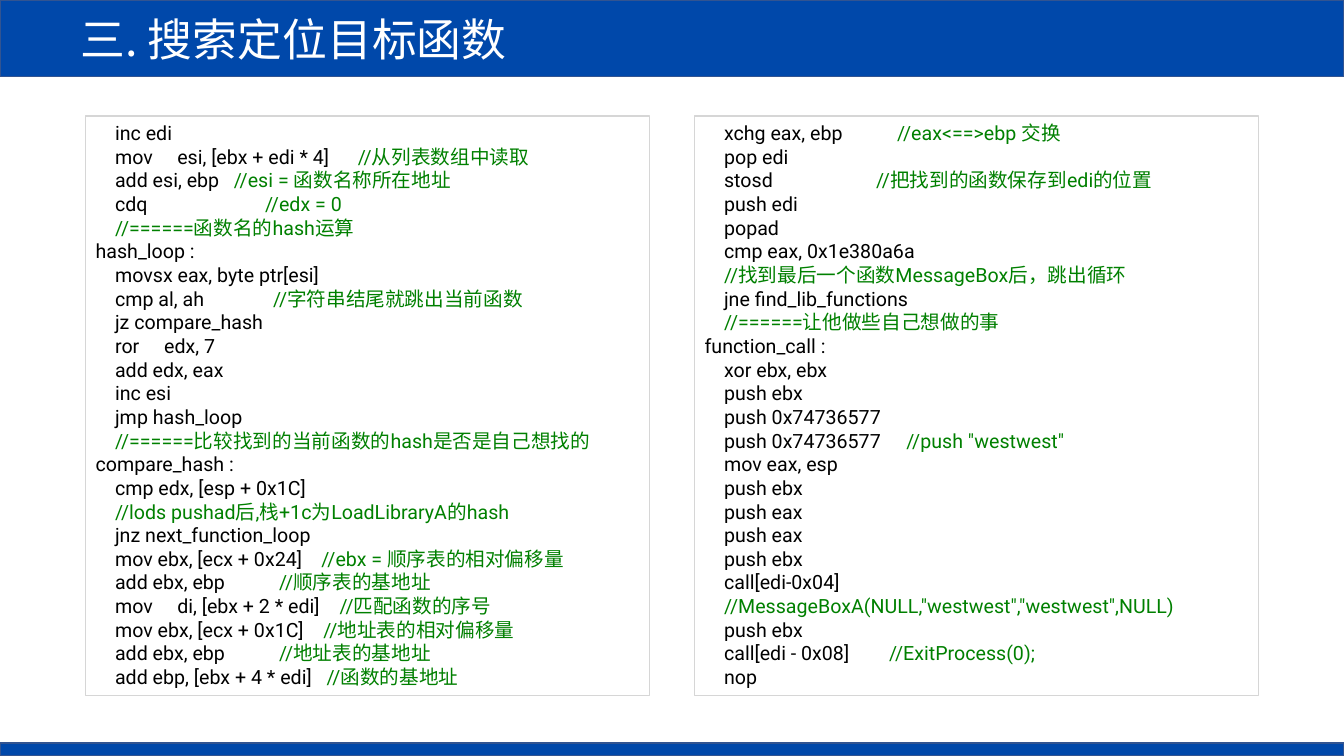
from lxml import etree
from pptx import Presentation
from pptx import util as u
from pptx.dml.color import RGBColor
from pptx.enum import shapes, text
from pptx.oxml.ns import qn

COLORS = {"bar": "0048AA", "bar_edge": "325491", "frame": "D6D6D6",
          "title": "FFFFFF", "code": "000000", "comment": "008000"}
TITLE_FONT, CODE_FONT = "Noto Sans CJK SC", "Roboto"
WIDTH, HEIGHT = 13.33, 7.5

# Each line of code, followed by its tab stops in inches
HASH_CODE = [
    ("    inc edi",),
    ("    mov\tesi, [ebx + edi * 4]\t//从列表数组中读取", 0.81, 2.6),
    ("    add esi, ebp\t//esi = 函数名称所在地址", 1.37),
    ("    cdq\t//edx = 0", 1.68),
    ("    //======函数名的hash运算",),
    ("hash_loop :",),
    ("    movsx eax, byte ptr[esi]",),
    ("    cmp al, ah\t//字符串结尾就跳出当前函数", 1.76),
    ("    jz compare_hash",),
    ("    ror\tedx, 7", 0.68),
    ("    add edx, eax",),
    ("    inc esi",),
    ("    jmp hash_loop",),
    ("    //======比较找到的当前函数的hash是否是自己想找的",),
    ("compare_hash :",),
    ("    cmp edx, [esp + 0x1C]",),
    ("    //lods pushad后,栈+1c为LoadLibraryA的hash",),
    ("    jnz next_function_loop",),
    ("    mov ebx, [ecx + 0x24]\t//ebx = 顺序表的相对偏移量", 2.24),
    ("    add ebx, ebp\t//顺序表的基地址", 1.82),
    ("    mov\tdi, [ebx + 2 * edi]\t//匹配函数的序号", 0.81, 2.42),
    ("    mov ebx, [ecx + 0x1C]\t//地址表的相对偏移量", 2.26),
    ("    add ebx, ebp\t//地址表的基地址", 1.82),
    ("    add ebp, [ebx + 4 * edi]\t//函数的基地址", 2.29),
]
CALL_CODE = [
    ("    xchg eax, ebp\t//eax<==>ebp 交换", 1.91),
    ("    pop edi",),
    ("    stosd\t//把找到的函数保存到edi的位置", 1.7),
    ("    push edi",),
    ("    popad",),
    ("    cmp eax, 0x1e380a6a",),
    ("    //找到最后一个函数MessageBox后，跳出循环",),
    ("    jne find_lib_functions",),
    ("    //======让他做些自己想做的事",),
    ("function_call :",),
    ("    xor ebx, ebx",),
    ("    push ebx",),
    ("    push 0x74736577",),
    ("    push 0x74736577\t//push \"westwest\"", 2),
    ("    mov eax, esp",),
    ("    push ebx",),
    ("    push eax",),
    ("    push eax",),
    ("    push ebx",),
    ("    call[edi-0x04]",),
    ("    //MessageBoxA(NULL,\"westwest\",\"westwest\",NULL)",),
    ("    push ebx",),
    ("    call[edi - 0x08]\t//ExitProcess(0);", 1.83),
    ("    nop",),
]


def color(name):
    return RGBColor.from_string(COLORS[name])


def place(shape, box):
    shape.left, shape.top, shape.width, shape.height = map(u.Inches, box)


def paint(shape, fill, line):
    if fill:
        shape.fill.solid()
        shape.fill.fore_color.rgb = color(fill)
    else:
        shape.fill.background()
    shape.line.color.rgb = color(line)
    shape.line.width = u.Pt(1)


def format_run(run, font_name, size, color_name):
    run.font.name = font_name
    run.font.size = u.Pt(size)
    run.font.color.rgb = color(color_name)
    east_asian = etree.SubElement(run.font._element, qn("a:ea"))
    east_asian.set("typeface", font_name)


def add_rectangle(slide, box, fill, line):
    shape = slide.shapes.add_shape(shapes.MSO_SHAPE.RECTANGLE, *map(u.Inches, box))
    shape.shadow.inherit = False
    paint(shape, fill, line)
    return shape


def add_title_bar(slide, box, words):
    title = slide.shapes.title
    place(title, box)
    paint(title, "bar", "bar_edge")
    frame = title.text_frame
    frame.text = words
    frame.auto_size = text.MSO_AUTO_SIZE.NONE
    frame.vertical_anchor = text.MSO_ANCHOR.MIDDLE
    frame.margin_left = u.Inches(WIDTH * 0.06)
    paragraph = frame.paragraphs[0]
    paragraph.alignment = text.PP_ALIGN.LEFT
    format_run(paragraph.runs[0], TITLE_FONT, 32, "title")


def add_tab_stops(paragraph, stops):
    tab_list = etree.SubElement(paragraph._p.get_or_add_pPr(), qn("a:tabLst"))
    for stop in stops:
        etree.SubElement(tab_list, qn("a:tab"), pos=str(u.Inches(stop)), algn="l")


def add_code_panel(slide, box, lines):
    frame = add_rectangle(slide, box, None, "frame").text_frame
    frame.word_wrap = True
    frame.vertical_anchor = text.MSO_ANCHOR.TOP
    for index, (line, *stops) in enumerate(lines):
        paragraph = frame.add_paragraph() if index else frame.paragraphs[0]
        if stops:
            add_tab_stops(paragraph, stops)
        paragraph.alignment = text.PP_ALIGN.LEFT
        paragraph.line_spacing = u.Pt(16.9)
        # Everything from the slashes on is a comment
        code, slashes, comment = line.partition("//")
        for words, color_name in ((code, "code"), (slashes + comment, "comment")):
            if words:
                run = paragraph.add_run()
                run.text = words
                format_run(run, CODE_FONT, 14, color_name)


def main():
    presentation = Presentation()
    presentation.slide_width = u.Inches(WIDTH)
    presentation.slide_height = u.Inches(HEIGHT)
    slide = presentation.slides.add_slide(presentation.slide_layouts[5])

    # Title bar and footer strip
    add_title_bar(slide, (0, 0, WIDTH, 0.76), "三. 搜索定位目标函数")
    footer = 0.13
    add_rectangle(slide, (0, HEIGHT - footer, WIDTH, footer), "bar", "bar_edge")

    # Two equal code panels between the side margins
    margin, panel_width = 0.85, 5.59
    for left, lines in ((margin, HASH_CODE), (WIDTH - margin - panel_width, CALL_CODE)):
        add_code_panel(slide, (left, 1.15, panel_width, 5.75), lines)

    presentation.save("out.pptx")


if __name__ == "__main__":
    main()
